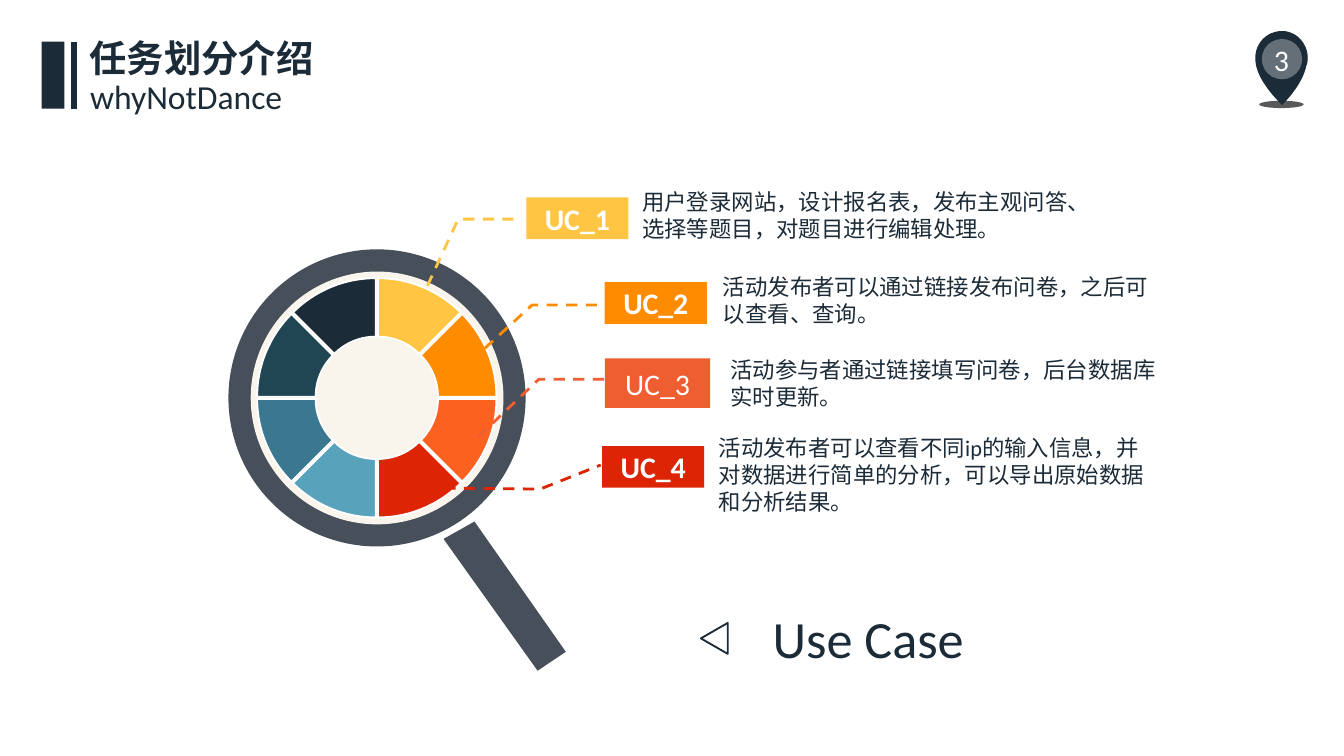
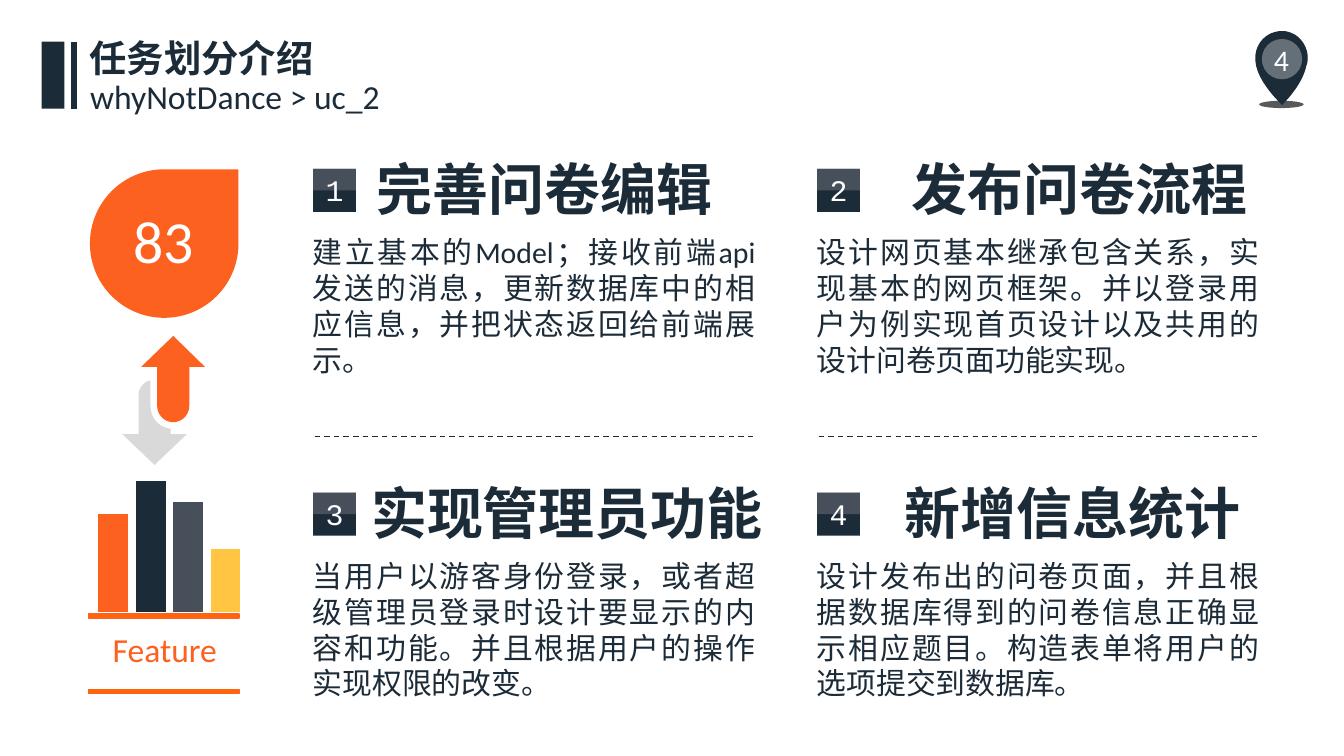
from dataclasses import dataclass
from math import cos, radians, sin
from typing import NamedTuple

from lxml.etree import SubElement
from pptx import Presentation
from pptx.chart.data import CategoryChartData
from pptx.dml.color import RGBColor
from pptx.enum.chart import XL_CHART_TYPE
from pptx.enum.dml import MSO_LINE
from pptx.enum.shapes import MSO_CONNECTOR, MSO_SHAPE
from pptx.enum.text import MSO_ANCHOR, PP_ALIGN
from pptx.oxml.ns import qn
from pptx.util import Pt


@dataclass(frozen=True)
class Theme:
    """Colours, fonts and type sizes of the deck."""
    navy: str = "1C2B38"
    slate: str = "464F5A"
    cream: str = "F9F5ED"
    white: str = "FFFFFF"
    black: str = "000000"
    shadow: str = "595959"
    silver: str = "D9D9D9"
    divider: str = "152C34"
    yellow: str = "FFC543"
    amber: str = "FF8B00"
    orange: str = "FC611F"
    bright_orange: str = "FF6700"
    coral: str = "EF5E30"
    red: str = "DD2405"
    sky: str = "58A2BC"
    teal: str = "39788F"
    deep_teal: str = "214653"
    bar_blue: str = "4F81BD"
    sans: str = "Calibri"
    mono: str = "Courier New"
    note: float = 12
    body: float = 16
    subtitle: float = 18
    title: float = 20
    caption: float = 28
    heading: float = 30
    figure: float = 32


THEME = Theme()


class Box(NamedTuple):
    """A frame in points."""
    left: float
    top: float
    width: float
    height: float


class Style(NamedTuple):
    """How a run of text looks."""
    size: float
    color: str = THEME.navy
    bold: bool = False
    font: str = THEME.sans
    align: PP_ALIGN = PP_ALIGN.LEFT


class UseCase(NamedTuple):
    """A tagged use case with its leader line."""
    tag: str
    note: str
    color: str
    bold: bool
    tag_box: Box
    note_box: Box
    leader: tuple


class Feature(NamedTuple):
    """A numbered feature in the two-by-two grid."""
    heading: str
    heading_left: float
    body: str


USE_CASES = (
    UseCase("UC_1", "用户登录网站，设计报名表，发布主观问答、选择等题目，对题目进行编辑处理。",
            THEME.yellow, True, Box(282, 105.8, 54.7, 22.3), Box(337, 97.2, 247, 36),
            ((224.6, 162.7), (245.5, 117.4), (275, 117.4))),
    UseCase("UC_2", "活动发布者可以通过链接发布问卷，之后可以查看、查询。",
            THEME.amber, True, Box(324, 151.2, 54.7, 22.3), Box(380.2, 142.6, 247, 36),
            ((252, 193.7), (285.1, 163.4), (324, 163.4))),
    UseCase("UC_3", "活动参与者通过链接填写问卷，后台数据库实时更新。",
            THEME.coral, False, Box(324, 192, 56.5, 26.6), Box(384.2, 187.2, 247, 36),
            ((256.3, 234), (288.7, 203.2), (324, 203.2))),
    UseCase("UC_4", "活动发布者可以查看不同ip的输入信息，并对数据进行简单的分析，可以导出原始数据和分析结果。",
            THEME.red, True, Box(322.6, 239, 54.7, 22.3), Box(378, 229, 247, 51),
            ((227.5, 261.4), (289.4, 262), (321.8, 249.1))),
)

FEATURES = (
    Feature("完善问卷编辑", 191.6, "建立基本的Model；接收前端api发送的消息，更新数据库中的相应信息，并把状态返回给前端展示。"),
    Feature("发布问卷流程", 478.2, "设计网页基本继承包含关系，实现基本的网页框架。并以登录用户为例实现首页设计以及共用的设计问卷页面功能实现。"),
    Feature("实现管理员功能", 188.8, "当用户以游客身份登录，或者超级管理员登录时设计要显示的内容和功能。并且根据用户的操作实现权限的改变。"),
    Feature("新增信息统计", 474.6, "设计发布出的问卷页面，并且根据数据库得到的问卷信息正确显示相应题目。构造表单将用户的选项提交到数据库。"),
)

PIN = ((672.5, 31), (672.5, 23, 678.8, 16.6, 686.9, 16.6), (694.2, 16.6, 700.6, 23, 700.6, 31),
       (700.6, 32.5, 700.4, 34, 699.8, 35.3), (699.1, 39.6, 695.5, 47.5, 686.9, 56.2),
       (686.9, 56.2, 673.2, 43.9, 672.5, 32.4))
UP_ARROW = ((84.2, 196.6), (75.6, 196.6), (92.8, 180), (109.8, 196.6), (101.4, 196.6), (101.4, 217.4),
            (101.4, 222.2, 97.6, 226.2, 92.8, 226.2), (88, 226.2, 84.2, 222.2, 84.2, 217.4))
DOWN_ARROW = ((80.6, 217.4), (80.6, 203.8), (77, 204.5, 74.2, 208, 74.2, 211.7), (74.2, 232.6),
              (65.5, 232.6), (82.8, 249.1), (100.1, 232.6), (91.4, 232.6), (91.4, 229.7),
              (85, 229, 80.6, 223.9, 80.6, 217.4))


def rgb(color: str) -> RGBColor:
    """Turn a hex string into a colour."""
    return RGBColor.from_string(color)


def write(shape, text: str, style: Style, anchor=MSO_ANCHOR.TOP) -> None:
    """Write one styled run into a shape."""
    frame = shape.text_frame
    frame.word_wrap = True
    frame.vertical_anchor = anchor
    paragraph = frame.paragraphs[0]
    paragraph.alignment = style.align
    run = paragraph.add_run()
    run.text = text
    run.font.name = style.font
    run.font.size = Pt(style.size)
    run.font.bold = style.bold
    run.font.color.rgb = rgb(style.color)


def add_text(slide, box: Box, text: str, style: Style, anchor=MSO_ANCHOR.TOP) -> None:
    """Add a text box."""
    write(slide.shapes.add_textbox(*map(Pt, box)), text, style, anchor)


def paint(shape, fill: str | None, line: str | None = None, width: float = 0.75) -> None:
    """Set fill and outline and drop the shadow."""
    shape.shadow.inherit = False
    if fill:
        shape.fill.solid()
        shape.fill.fore_color.rgb = rgb(fill)
    else:
        shape.fill.background()
    if line:
        shape.line.color.rgb = rgb(line)
        shape.line.width = Pt(width)
    else:
        shape.line.fill.background()


def add_preset(slide, kind, box: Box, fill: str | None, line: str | None = None, width: float = 0.75):
    """Add a preset shape."""
    shape = slide.shapes.add_shape(kind, *map(Pt, box))
    paint(shape, fill, line, width)
    return shape


def flatten(outline: tuple) -> list:
    """Turn points and cubic segments into a list of points."""
    points = []
    for step in outline:
        if len(step) == 2:
            points.append(step)
            continue
        start, first, second, end = points[-1], step[:2], step[2:4], step[4:]
        for t in (i / 12 for i in range(1, 13)):
            weights = ((1 - t) ** 3, 3 * t * (1 - t) ** 2, 3 * t * t * (1 - t), t ** 3)
            knots = zip(start, first, second, end)
            points.append(tuple(sum(w * k for w, k in zip(weights, axis)) for axis in knots))
    return points


def add_outline(slide, outline: tuple, close: bool = True):
    """Add a freeform through the given outline."""
    points = [(Pt(x), Pt(y)) for x, y in flatten(outline)]
    builder = slide.shapes.build_freeform(*points[0], scale=1.0)
    builder.add_line_segments(points[1:], close=close)
    return builder.convert_to_shape()


def add_line(slide, start: tuple, end: tuple, color: str, width: float, dash=None) -> None:
    """Add a straight line."""
    line = slide.shapes.add_connector(MSO_CONNECTOR.STRAIGHT, *map(Pt, start + end))
    line.line.color.rgb = rgb(color)
    line.line.width = Pt(width)
    line.line.dash_style = dash
    SubElement(line._element.spPr, qn("a:effectLst"))


def add_chart(slide, kind, box: Box, values: tuple, colors: tuple):
    """Add a one-series chart with one colour per point."""
    data = CategoryChartData(number_format="General")
    data.categories = [str(i + 1) for i in range(len(values))]
    data.add_series("Series 1", values)
    chart = slide.shapes.add_chart(kind, *map(Pt, box), data).chart
    chart.has_title = False
    chart.has_legend = False
    chart.font.name = THEME.sans
    chart.font.size = Pt(THEME.subtitle)
    chart.font.color.rgb = rgb(THEME.black)
    plot = chart.plots[0]
    plot.has_data_labels = False
    for index, color in enumerate(colors):
        fill = plot.series[0].points[index].format.fill
        fill.solid()
        fill.fore_color.rgb = rgb(color)
    return chart


def add_frame(slide, page: int, subtitle: str) -> None:
    """Draw the title block and the page pin."""
    add_preset(slide, MSO_SHAPE.OVAL, Box(674.6, 54, 23.8, 3.9), THEME.shadow)
    paint(add_outline(slide, PIN), THEME.navy)
    disc = add_preset(slide, MSO_SHAPE.OVAL, Box(676, 20.9, 21.6, 21.6), THEME.white)
    SubElement(disc._element.spPr.find(".//" + qn("a:srgbClr")), qn("a:alpha")).set("val", "32000")
    add_text(slide, Box(602.6, 20.9, 167.8, 21.6), str(page),
             Style(THEME.body, THEME.white, align=PP_ALIGN.CENTER), MSO_ANCHOR.MIDDLE)
    add_preset(slide, MSO_SHAPE.RECTANGLE, Box(22.3, 22.3, 12.2, 36), THEME.navy)
    add_line(slide, (39.6, 22.3), (39.6, 58.3), THEME.navy, 3)
    add_text(slide, Box(38.3, 15.1, 139.4, 31.7), "任务划分介绍",
             Style(THEME.title, bold=True, font=THEME.mono, align=PP_ALIGN.CENTER))
    add_text(slide, Box(41.2, 37.4, 220, 28.8), subtitle, Style(THEME.subtitle))


def add_magnifier(slide) -> None:
    """Draw the magnifying glass with the ring of eight parts."""
    center_x, center_y = 202, 213.2
    for radius, color in ((79.6, THEME.slate), (67.7, THEME.cream)):
        box = Box(center_x - radius, center_y - radius, 2 * radius, 2 * radius)
        add_preset(slide, MSO_SHAPE.OVAL, box, color)
    handle = ((237.6, 288.7), (288, 359.3), (303.1, 349.2), (254.2, 279.4))
    paint(add_outline(slide, handle), THEME.slate)
    for angle in range(0, 360, 45):
        x, y = center_x + 48 * cos(radians(angle)), center_y + 48 * sin(radians(angle))
        spoke = add_preset(slide, MSO_SHAPE.RECTANGLE, Box(x - 16, y - 1.7, 32, 3.4), THEME.cream)
        spoke.rotation = angle
    colors = (THEME.yellow, THEME.amber, THEME.orange, THEME.red,
              THEME.sky, THEME.teal, THEME.deep_teal, THEME.navy)
    ring = add_chart(slide, XL_CHART_TYPE.DOUGHNUT_EXPLODED, Box(123.8, 139, 156.2, 148.3), (12,) * 8, colors)
    series = ring.plots[0].series[0]
    for index in range(len(colors)):
        border = series.points[index].format.line
        border.color.rgb = rgb(THEME.white)
        border.width = Pt(1)
    explosion = series._element.find(qn("c:explosion"))
    if explosion is None:
        explosion = SubElement(series._element, qn("c:explosion"))
        series._element.find(qn("c:dPt")).addprevious(explosion)
    explosion.set("val", "5")


def add_use_case(slide, case: UseCase) -> None:
    """Draw a leader, its tag and its note."""
    leader = add_outline(slide, case.leader, close=False)
    paint(leader, None, case.color, 1.5)
    leader.line.dash_style = MSO_LINE.DASH
    tag = add_preset(slide, MSO_SHAPE.RECTANGLE, case.tag_box, case.color)
    write(tag, case.tag, Style(THEME.body, THEME.white, case.bold, align=PP_ALIGN.CENTER), MSO_ANCHOR.MIDDLE)
    add_text(slide, case.note_box, case.note, Style(THEME.note))


def add_feature(slide, index: int, feature: Feature) -> None:
    """Draw one cell of the feature grid."""
    row, column = divmod(index, 2)
    left, top = 160.5 + 270 * column, 90.5 + 173.5 * row
    badge = Box(left + 7.2, top, 23, 23)
    add_preset(slide, MSO_SHAPE.RECTANGLE, badge, THEME.navy)
    add_preset(slide, MSO_SHAPE.RECTANGLE, badge._replace(height=11.5), THEME.slate)
    add_text(slide, Box(left + 5.7, top - 2, 26, 26.6), str(index + 1),
             Style(THEME.body, THEME.white, font=THEME.mono, align=PP_ALIGN.CENTER))
    width = THEME.heading * len(feature.heading) + 20
    add_text(slide, Box(feature.heading_left, top - 11, width, 44), feature.heading,
             Style(THEME.heading, bold=True, align=PP_ALIGN.CENTER))
    add_text(slide, Box(left, top + 31.2, 251.3, 85), feature.body,
             Style(THEME.body, align=PP_ALIGN.JUSTIFY))
    if row == 0:
        add_line(slide, (left + 8, 234), (left + 243, 234), THEME.divider, 0.75, MSO_LINE.DASH)


def add_score_column(slide) -> None:
    """Draw the score drop, the arrows and the small bar chart."""
    paint(add_outline(slide, UP_ARROW), THEME.orange)
    paint(add_outline(slide, DOWN_ARROW), THEME.silver)
    add_preset(slide, MSO_SHAPE.TEAR, Box(48.2, 90.7, 79.6, 79.6), THEME.orange)
    for top in (329, 369.4):
        add_preset(slide, MSO_SHAPE.RECTANGLE, Box(47.5, top, 80.6, 2.2), THEME.bright_orange, THEME.orange)
    add_text(slide, Box(62, 105.8, 51.6, 46), "83",
             Style(THEME.figure, THEME.white, align=PP_ALIGN.CENTER))
    add_text(slide, Box(53.3, 333.4, 80, 28.8), "Feature", Style(THEME.subtitle, THEME.orange))
    colors = (THEME.orange, THEME.navy, THEME.slate, THEME.yellow)
    bars = add_chart(slide, XL_CHART_TYPE.COLUMN_CLUSTERED, Box(49, 241.9, 83.5, 87.8), (75, 100, 84, 48), colors)
    plot = bars.plots[0]
    plot.gap_width = 25
    plot.vary_by_categories = False
    plot.series[0].format.fill.solid()
    plot.series[0].format.fill.fore_color.rgb = rgb(THEME.bar_blue)
    scale = bars.value_axis
    scale.minimum_scale, scale.maximum_scale = 0, 120
    scale.has_major_gridlines = False
    scale.tick_labels.number_format = "0%"
    scale.tick_labels.number_format_is_linked = False
    scale.visible = False
    bars.category_axis.visible = False


def main() -> None:
    """Build and save both slides."""
    deck = Presentation()
    deck.slide_width, deck.slide_height = Pt(720), Pt(405)
    blank = deck.slide_layouts[6]

    cases = deck.slides.add_slide(blank)
    add_frame(cases, 3, "whyNotDance")
    add_magnifier(cases)
    for case in USE_CASES:
        add_use_case(cases, case)
    add_text(cases, Box(406, 321.1, 118.2, 41), "Use Case", Style(THEME.caption, align=PP_ALIGN.CENTER))
    pointer = add_preset(cases, MSO_SHAPE.ISOSCELES_TRIANGLE, Box(374.4, 334.8, 16.6, 14.4), None, THEME.navy, 1)
    pointer.rotation = 270

    features = deck.slides.add_slide(blank)
    add_frame(features, 4, "whyNotDance > uc_2")
    add_score_column(features)
    for index, feature in enumerate(FEATURES):
        add_feature(features, index, feature)

    deck.save("out.pptx")


if __name__ == "__main__":
    main()
